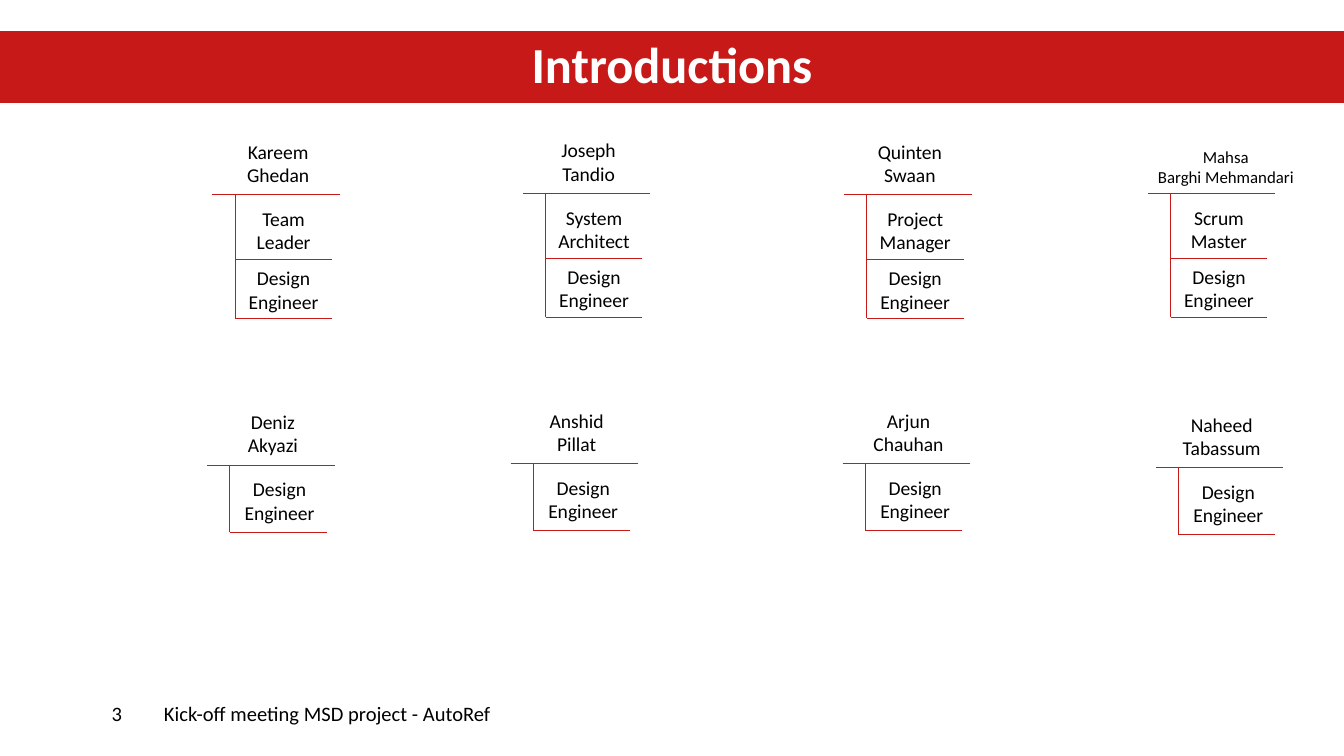
from lxml import etree
from pptx import Presentation
from pptx import util as u
from pptx.dml.color import RGBColor
from pptx.enum import shapes, text
from pptx.oxml.ns import qn

RED = RGBColor(0xC8, 0x19, 0x19)
WHITE = RGBColor(0xFF, 0xFF, 0xFF)
BLACK = RGBColor(0, 0, 0)

ROLE_WIDTHS = {
    "Team\nLeader": 0.61,
    "System\nArchitect": 0.75,
    "Project\nManager": 0.74,
    "Scrum\nMaster": 0.63,
    "Design\nEngineer": 0.73,
}
ENGINEER = "Design\nEngineer"

# name, name width, spine x, top line y, roles
MEMBERS = [
    ("Kareem\nGhedan", 0.66, 1.75, 1.45, ["Team\nLeader", ENGINEER]),
    ("Joseph\nTandio", 0.66, 4.06, 1.44, ["System\nArchitect", ENGINEER]),
    ("Quinten\nSwaan", 0.72, 6.45, 1.45, ["Project\nManager", ENGINEER]),
    ("Mahsa\nBarghi Mehmandari", 1.31, 8.71, 1.44, ["Scrum\nMaster", ENGINEER]),
    ("Deniz\nAkyazi", 0.58, 1.71, 3.46, [ENGINEER]),
    ("Anshid\nPillat", 0.61, 3.97, 3.45, [ENGINEER]),
    ("Arjun\nChauhan", 0.73, 6.44, 3.45, [ENGINEER]),
    ("Naheed\nTabassum", 0.8, 8.77, 3.48, [ENGINEER]),
]


class TeamSlide:
    def __init__(self, slide, font="Calibri"):
        self.slide = slide
        self.font = font

    def format_text(self, frame, size, color, align, bold=False):
        for paragraph in frame.paragraphs:
            paragraph.alignment = align
            for run in paragraph.runs:
                run.font.name = self.font
                run.font.size = u.Pt(size)
                run.font.bold = bold
                run.font.color.rgb = color

    def clear_insets(self, frame, left=0):
        frame.margin_left = u.Inches(left)
        frame.margin_right = frame.margin_top = frame.margin_bottom = 0

    def bar(self, left, top, width, height, fill, outline=None):
        bar = self.slide.shapes.add_shape(
            shapes.MSO_SHAPE.RECTANGLE,
            u.Inches(left), u.Inches(top), u.Inches(width), u.Inches(height))
        bar.shadow.inherit = False
        bar.fill.solid()
        bar.fill.fore_color.rgb = fill
        if outline is None:
            bar.line.fill.background()
        else:
            bar.line.color.rgb = outline
            bar.line.width = u.Pt(1)
        return bar

    def footer(self, words, left, width, inset=0):
        frame = self.bar(left, 5, width, 0.62, WHITE).text_frame
        frame.text = words
        frame.word_wrap = True
        frame.vertical_anchor = text.MSO_ANCHOR.MIDDLE
        self.clear_insets(frame, inset)
        self.format_text(frame, 11, BLACK, text.PP_ALIGN.LEFT)

    def title(self, words):
        """Fill the title placeholder and bring it in front of the band."""
        title = self.slide.shapes.title
        title.left, title.top = 0, u.Inches(0.32)
        title.width, title.height = u.Inches(10), u.Inches(0.47)
        frame = title.text_frame
        frame.text = words
        frame.auto_size = text.MSO_AUTO_SIZE.NONE
        frame.vertical_anchor = text.MSO_ANCHOR.TOP
        self.clear_insets(frame)
        frame.paragraphs[0].line_spacing = u.Pt(27)
        self.format_text(frame, 27, WHITE, text.PP_ALIGN.CENTER, bold=True)
        title.element.getparent().append(title.element)

    def line(self, x1, y1, x2, y2):
        line = self.slide.shapes.add_connector(
            shapes.MSO_CONNECTOR.STRAIGHT,
            u.Inches(x1), u.Inches(y1), u.Inches(x2), u.Inches(y2))
        line.line.color.rgb = RED
        line.line.width = u.Pt(0.5)
        etree.SubElement(line.element.spPr, qn("a:effectLst"))

    def label(self, words, center, top, width, size=10.5):
        box = self.slide.shapes.add_textbox(
            u.Inches(center - width / 2), u.Inches(top),
            u.Inches(width), u.Inches(0.45))
        frame = box.text_frame
        frame.text = words
        frame.word_wrap = False
        frame.auto_size = text.MSO_AUTO_SIZE.SHAPE_TO_FIT_TEXT
        self.format_text(frame, size, BLACK, text.PP_ALIGN.CENTER)

    def member(self, name, width, spine, top, roles):
        """Draw a name over a spine with one branch per role."""
        self.line(spine - 0.17, top, spine + 0.78, top)
        if width > 1:
            self.label(name, spine + 0.41, top - 0.4, width, size=9)
        else:
            self.label(name, spine + 0.32, top - 0.46, width)
        single = len(roles) == 1
        branches = [0.5] if single else [0.48, 0.92]
        role_center = spine + (0.37 if single else 0.36)
        role_top = 0.04
        start = 0
        for role, end in zip(roles, branches):
            self.line(spine, top + start, spine, top + end)
            self.line(spine, top + end, spine + 0.72, top + end)
            self.label(role, role_center, top + role_top, ROLE_WIDTHS[role])
            start = end
            role_top = end


def main():
    deck = Presentation()
    deck.slide_width = u.Inches(10)
    deck.slide_height = deck.slide_width * 9 // 16
    page = TeamSlide(deck.slides.add_slide(deck.slide_layouts[5]))
    page.footer("Kick-off meeting MSD project - AutoRef", 1.22, 7.7)
    page.footer("3", 0, 1.22, inset=0.83)
    page.bar(0, 0.24, 10, 0.52, RED, outline=RED)
    page.title("Introductions")
    for member in MEMBERS:
        page.member(*member)
    deck.save("out.pptx")


if __name__ == "__main__":
    main()
